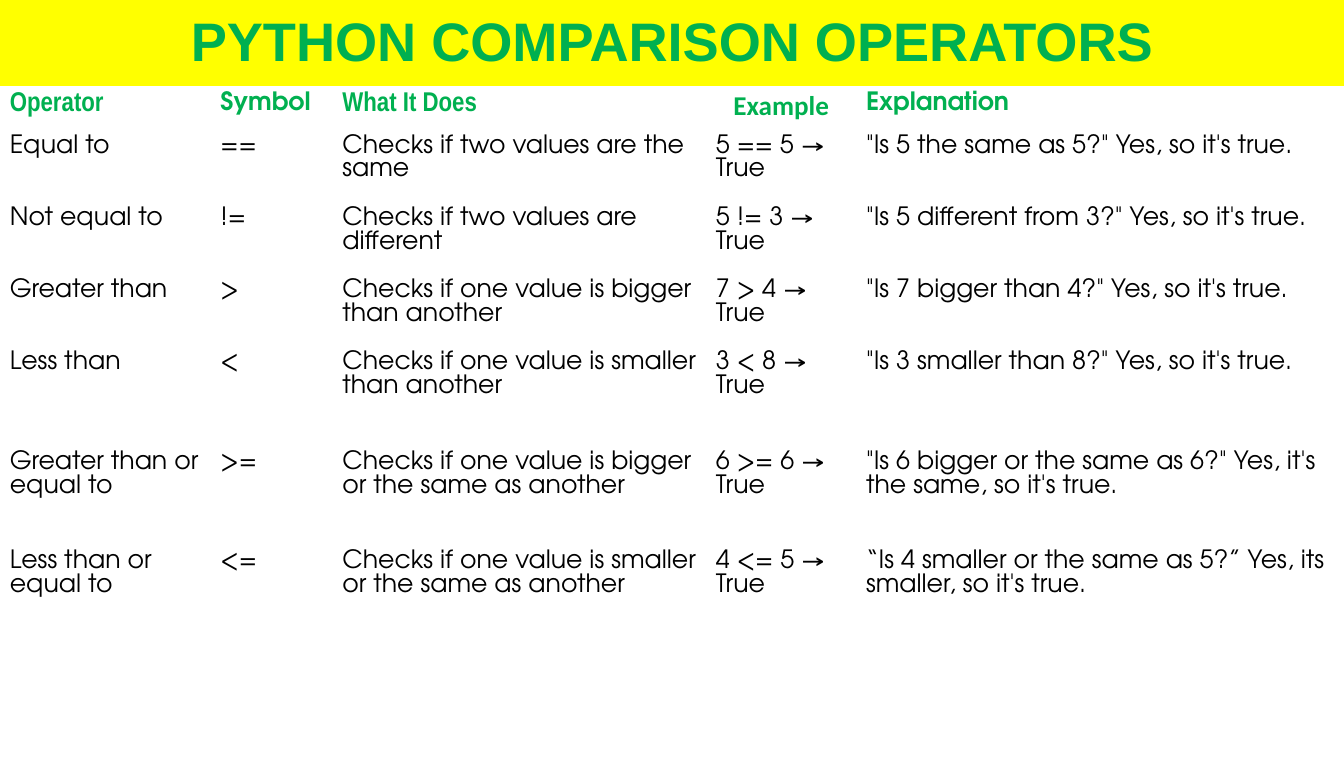
from lxml import etree
from pptx import Presentation
from pptx.dml.color import RGBColor
from pptx.enum.shapes import MSO_SHAPE
from pptx.enum.text import MSO_ANCHOR, PP_ALIGN
from pptx.oxml.ns import qn
from pptx.util import Inches, Pt

RECT = MSO_SHAPE.RECTANGLE
MIDDLE = MSO_ANCHOR.MIDDLE
CENTER = PP_ALIGN.CENTER

YELLOW = RGBColor(0xFF, 0xFF, 0x00)
GREEN = RGBColor(0x00, 0xB0, 0x50)
BLACK = RGBColor(0x00, 0x00, 0x00)
WHITE = RGBColor(0xFF, 0xFF, 0xFF)

BODY = "TeX Gyre Adventor"
NARROW = "Arial Narrow"
WIDTH, HEIGHT, BAND = 13.78, 7.87, 0.89

COLS = [2.16, 1.25, 3.83, 1.54, 5]
ROWS = [0.44] + [0.74] * 3 + [1.02] * 2 + [0.74, 0.71, 0.42, 0.42]
HEADS = [
    ("Operator", NARROW, 20),
    ("Symbol", BODY, 18.6),
    ("What It Does", NARROW, 20),
    ("Example", "Calibri", 20),
    ("Explanation", BODY, 18.6),
]
CHECKS = [
    ("Equal to", "==", "Checks if two values are the same",
     "5 == 5 → True", "\"Is 5 the same as 5?\" Yes, so it's true."),
    ("Not equal to", "!=", "Checks if two values are different",
     "5 != 3 → True", "\"Is 5 different from 3?\" Yes, so it's true."),
    ("Greater than", ">", "Checks if one value is bigger than another",
     "7 > 4 → True", "\"Is 7 bigger than 4?\" Yes, so it's true."),
    ("Less than", "<", "Checks if one value is smaller than another",
     "3 < 8 → True", "\"Is 3 smaller than 8?\" Yes, so it's true."),
    ("Greater than or equal to", ">=",
     "Checks if one value is bigger or the same as another",
     "6 >= 6 → True",
     "\"Is 6 bigger or the same as 6?\" Yes, it's the same, so it's true."),
    ("Less than or equal to", "<=",
     "Checks if one value is smaller or the same as another",
     "4 <= 5 → True",
     "“Is 4 smaller or the same as 5?” Yes, its smaller, so it's true."),
]


class Deck:
    """Holds the style and the current slide."""

    def __init__(self):
        self.prs = Presentation()
        self.prs.slide_width = Inches(WIDTH)
        self.prs.slide_height = Inches(HEIGHT)
        self.slide = self.prs.slides.add_slide(self.prs.slide_layouts[6])

    def label(self, para, text, face, size, color, bold=False):
        run = para.add_run()
        run.text = text
        font = para.font
        font.name, font.size, font.bold = face, Pt(size), bold
        font.color.rgb = color

    def banner(self, text):
        box = self.slide.shapes.add_shape(
            RECT, 0, 0, Inches(WIDTH), Inches(BAND))
        box.shadow.inherit = False
        box.fill.solid()
        box.fill.fore_color.rgb = YELLOW
        box.line.fill.background()
        frame = box.text_frame
        frame.word_wrap = True
        frame.vertical_anchor = MIDDLE
        para = frame.paragraphs[0]
        para.alignment, para.line_spacing = CENTER, 0.9
        self.label(para, text, "Arial", 40, GREEN, True)

    def border(self, cell, base):
        props = cell._tc.get_or_add_tcPr()
        for side, width in (("L", 1), ("R", 1), ("T", 1), ("B", base)):
            line = etree.SubElement(props, qn("a:ln" + side), w=str(Pt(width)))
            fill = etree.SubElement(line, qn("a:solidFill"))
            etree.SubElement(fill, qn("a:srgbClr"), val=str(WHITE))

    def table(self, cols, rows):
        grid = self.slide.shapes.add_table(
            len(rows), len(cols), 0, Inches(BAND),
            Inches(sum(cols)), Inches(sum(rows))).table
        grid.first_row = grid.horz_banding = False
        for col, width in zip(grid.columns, cols):
            col.width = Inches(width)
        for i, (row, height) in enumerate(zip(grid.rows, rows)):
            row.height = Inches(height)
            for cell in row.cells:
                self.border(cell, 1 if i else 3)
                if i:
                    cell.fill.solid()
                    cell.fill.fore_color.rgb = WHITE
                else:
                    cell.fill.background()
        return grid


def main():
    deck = Deck()

    # Title band
    deck.banner("PYTHON COMPARISON OPERATORS")

    # Header row
    grid = deck.table(COLS, ROWS)
    for j, (text, face, size) in enumerate(HEADS):
        para = grid.cell(0, j).text_frame.paragraphs[0]
        deck.label(para, text, face, size, GREEN, True)

    # The example heading is centred, with its own margins and spacing
    cell = grid.cell(0, 3)
    cell.margin_left = cell.margin_right = Inches(0.07)
    cell.margin_top = cell.margin_bottom = 0
    para = cell.text_frame.paragraphs[0]
    para.alignment, para.line_spacing = CENTER, 1.07
    para.space_after = Pt(8)

    # Operators
    for i, check in enumerate(CHECKS, 1):
        for j, text in enumerate(check):
            para = grid.cell(i, j).text_frame.paragraphs[0]
            deck.label(para, text, BODY, 18.6, BLACK)

    deck.prs.save("out.pptx")


if __name__ == "__main__":
    main()
